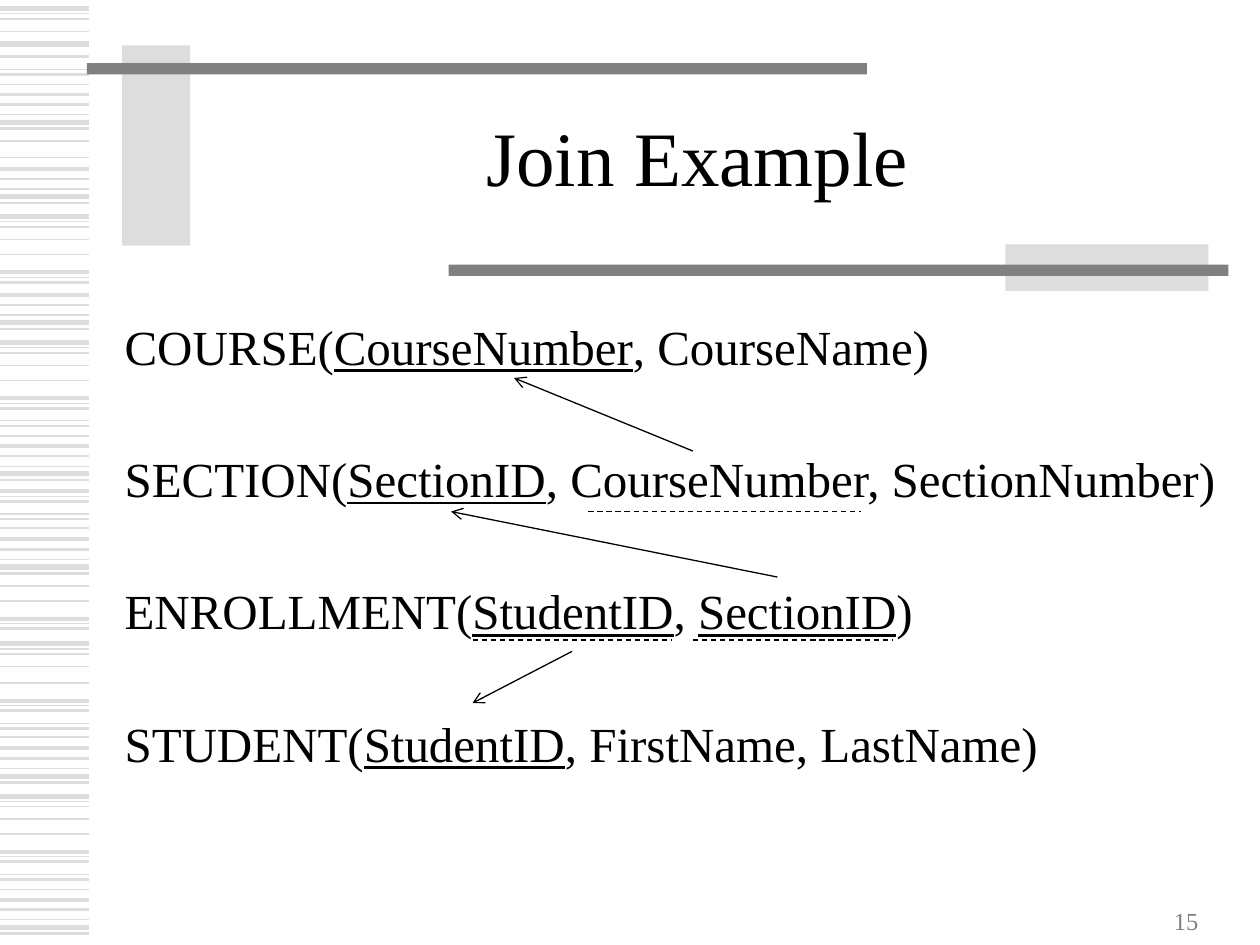
import pptx
import pptx.util
import pptx.dml.color
import pptx.enum.dml
import pptx.enum.shapes
import pptx.enum.text
import pptx.oxml
import pptx.oxml.ns

Inches = pptx.util.Inches
Pt = pptx.util.Pt
ALIGN = pptx.enum.text.PP_ALIGN
ANCHOR = pptx.enum.text.MSO_ANCHOR

COLORS = {"text": "000000", "pale": "DDDDDD", "bar": "808080"}

# Stripe motifs: (offset in inches, weight in points), and where each starts
STRIPE_MOTIFS = [
    ([(0, 2.25), (0.08, 1.5), (0.16, 0.75), (0.22, 3), (0.27, 1.5)],
     [0.75, 1.34, 2.34, 3.54, 4.28, 5.94, 7.14]),
    ([(0, 3), (0.04, 0.75), (0.08, 1), (0.18, 1)],
     [0.07, 1.72, 2.72, 5.11, 6.32]),
    ([(0, 2.25), (0.04, 0.75), (0.08, 1.5)],
     [2.16, 3.16, 3.9, 4.91, 5.56, 6.76]),
    ([(0, 0.75), (0.04, 1.5)],
     [0.55, 3.34, 4.08, 5.74, 6.94]),
    ([(0, 1)],
     [0.67, 1.12, 1.25, 2.02, 3.02, 3.46, 4.19, 4.65, 4.77, 5.42, 5.85, 6.62, 7.06]),
    ([(0, 1.5)], [0.45]),
    ([(0, 3)], [0.35]),
]

# Each relation is a list of (text, underlined as key)
RELATIONS = [
    [("COURSE(", False), ("CourseNumber", True), (", CourseName)", False)],
    [("SECTION(", False), ("SectionID", True),
     (", CourseNumber, SectionNumber)", False)],
    [("ENROLLMENT(", False), ("StudentID", True), (", ", False),
     ("SectionID", True), (")", False)],
    [("STUDENT(", False), ("StudentID", True), (", FirstName, LastName)", False)],
]


class SlideBuilder:
    font = "Times New Roman"

    def __init__(self, slide):
        self.slide = slide

    def color(self, name):
        return pptx.dml.color.RGBColor.from_string(COLORS[name])

    def bar(self, left, top, width, height, color):
        sp = self.slide.shapes.add_shape(
            pptx.enum.shapes.MSO_SHAPE.RECTANGLE,
            Inches(left), Inches(top), Inches(width), Inches(height))
        sp.shadow.inherit = False
        sp.fill.solid()
        sp.fill.fore_color.rgb = self.color(color)
        sp.line.fill.background()

    def line(self, x1, y1, x2, y2, color="text", weight=0.75, dash=False, arrow=False):
        cn = self.slide.shapes.add_connector(
            pptx.enum.shapes.MSO_CONNECTOR.STRAIGHT,
            Inches(x1), Inches(y1), Inches(x2), Inches(y2))
        cn.line.color.rgb = self.color(color)
        cn.line.width = Pt(weight)
        if dash:
            cn.line.dash_style = pptx.enum.dml.MSO_LINE.DASH
        if arrow:
            tail = pptx.oxml.parse_xml(
                '<a:tailEnd %s type="arrow"/>' % pptx.oxml.ns.nsdecls("a"))
            cn.line._get_or_add_ln().append(tail)
        cn._element.spPr.append(pptx.oxml.parse_xml(
            "<a:effectLst %s/>" % pptx.oxml.ns.nsdecls("a")))

    def text(self, left, top, width, height, paragraphs, size, color="text",
             align=ALIGN.LEFT, anchor=ANCHOR.TOP, gap=0, spacing=None):
        sp = self.slide.shapes.add_textbox(
            Inches(left), Inches(top), Inches(width), Inches(height))
        tf = sp.text_frame
        tf.word_wrap = True
        tf.vertical_anchor = anchor
        for i, runs in enumerate(paragraphs):
            p = tf.add_paragraph() if i else tf.paragraphs[0]
            p.alignment = align
            if i:
                p.space_before = Pt(gap)
            if spacing:
                p.line_spacing = spacing
            for words, underline in runs:
                r = p.add_run()
                r.text = words
                r.font.name = self.font
                r.font.size = Pt(size)
                r.font.underline = underline
                r.font.color.rgb = self.color(color)


def main():
    prs = pptx.Presentation()
    prs.slide_width, prs.slide_height = Inches(10), Inches(7.5)
    s = SlideBuilder(prs.slides.add_slide(prs.slide_layouts[6]))

    # Striped left edge
    for motif, starts in STRIPE_MOTIFS:
        for start in starts:
            for offset, weight in motif:
                y = start + offset
                s.line(0, y, 0.71, y, "pale", weight)

    # Pale blocks crossed by bars around the title
    s.bar(0.97, 0.36, 0.54, 1.59, "pale")
    s.bar(0.69, 0.5, 6.19, 0.09, "bar")
    s.bar(7.98, 1.94, 1.61, 0.37, "pale")
    s.bar(3.56, 2.1, 6.19, 0.09, "bar")

    # Title, relations and slide number
    s.text(1.5, 0.67, 8.07, 1.25, [[("Join Example", False)]], 44,
           align=ALIGN.CENTER, anchor=ANCHOR.MIDDLE, spacing=0.85)
    s.text(0.89, 2.46, 9.11, 4.2, RELATIONS, 28, gap=42)
    s.text(7.21, 6.97, 2.4, 0.5, [[("15", False)]], 14, "bar",
           align=ALIGN.RIGHT, anchor=ANCHOR.BOTTOM)

    # Dashed underlines of the foreign keys
    for x1, x2, y in [(4.67, 6.83, 4.06), (3.75, 5.33, 5.08), (5.5, 7.08, 5.08)]:
        s.line(x1, y, x2, y, dash=True)

    # Arrows from foreign key to primary key
    for ends in [(5.5, 3.58, 4.08, 3), (6.17, 4.58, 3.58, 4.06),
                 (4.54, 5.17, 3.75, 5.58)]:
        s.line(*ends, arrow=True)

    prs.save("out.pptx")


if __name__ == "__main__":
    main()
